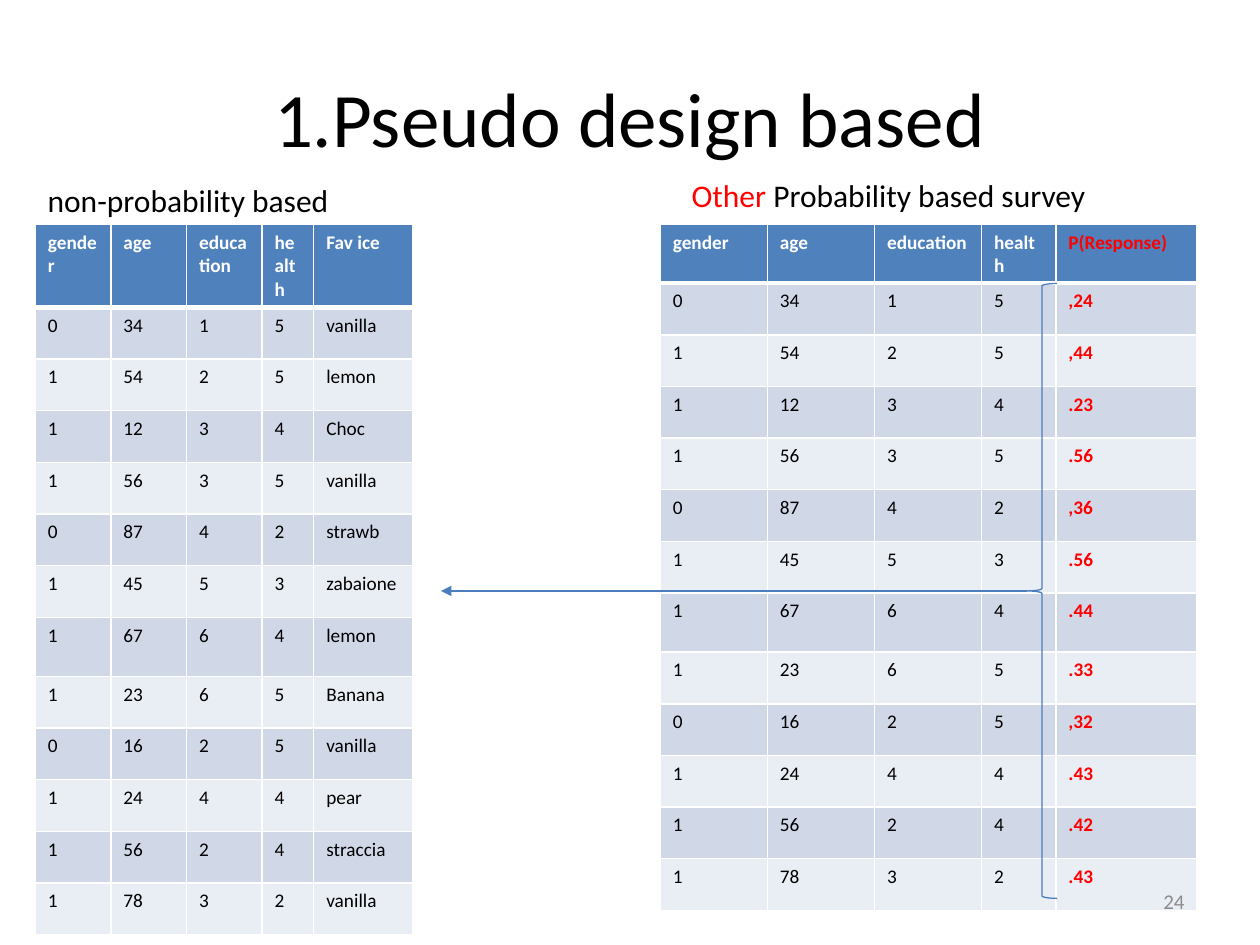
import pptx
import pptx.dml.color
import pptx.enum.shapes
import pptx.enum.text
import pptx.oxml
import pptx.oxml.ns
import pptx.util
from pptx.util import Inches

RGBColor = pptx.dml.color.RGBColor
WHITE = RGBColor(0xFF, 0xFF, 0xFF)
BLACK = RGBColor(0, 0, 0)
RED = RGBColor(0xFF, 0, 0)
GREY = RGBColor(0x8C, 0x8C, 0x8C)
HEADER_BLUE = RGBColor(0x4F, 0x81, 0xBD)
LINE_BLUE = RGBColor(0x4B, 0x7E, 0xBC)
BANDS = [RGBColor(0xD0, 0xD8, 0xE8), RGBColor(0xE9, 0xED, 0xF4)]

FONT = "Calibri"
ALIGN = pptx.enum.text.PP_ALIGN
ANCHOR = pptx.enum.text.MSO_ANCHOR
NS = pptx.oxml.ns.nsdecls("a")

COMMON_HEADER = ["gender", "age", "education", "health"]
RESPONDENTS = [
    (0, 34, 1, 5), (1, 54, 2, 5), (1, 12, 3, 4), (1, 56, 3, 5),
    (0, 87, 4, 2), (1, 45, 5, 3), (1, 67, 6, 4), (1, 23, 6, 5),
    (0, 16, 2, 5), (1, 24, 4, 4), (1, 56, 2, 4), (1, 78, 3, 2),
]
FLAVOURS = ["vanilla", "lemon", "Choc", "vanilla", "strawb", "zabaione",
            "lemon", "Banana", "vanilla", "pear", "straccia", "vanilla"]
RESPONSES = [",24", ",44", ".23", ".56", ",36", ".56",
             ".44", ".33", ",32", ".43", ".42", ".43"]
ROW_HEIGHT = 0.41
TALL_ROW = 7
TALL_HEIGHT = 0.47


def add_run(p, text, size, color, bold=False):
    r = p.add_run()
    r.text = text
    r.font.name = FONT
    r.font.size = pptx.util.Pt(size)
    r.font.bold = bold
    r.font.color.rgb = color


def add_text(slide, box, runs, size, align=ALIGN.LEFT, anchor=ANCHOR.TOP):
    tf = slide.shapes.add_textbox(*map(Inches, box)).text_frame
    tf.word_wrap = True
    tf.vertical_anchor = anchor
    p = tf.paragraphs[0]
    p.alignment = align
    for text, color in runs:
        add_run(p, text, size, color)


def add_borders(cell, row):
    top = 3 if row == 1 else 1
    bottom = 3 if row == 0 else 1
    tc_pr = cell._tc.get_or_add_tcPr()
    for side, width in (("L", 1), ("R", 1), ("T", top), ("B", bottom)):
        tc_pr.append(pptx.oxml.parse_xml(
            f'<a:ln{side} {NS} w="{pptx.util.Pt(width)}"><a:solidFill>'
            f'<a:srgbClr val="{WHITE}"/></a:solidFill></a:ln{side}>'))


def add_survey(slide, left, widths, header_height, last_header, last_values,
               highlight=False):
    rows = [COMMON_HEADER + [last_header]]
    rows += [[*person, value] for person, value in zip(RESPONDENTS, last_values)]
    heights = [header_height] + [ROW_HEIGHT] * len(RESPONDENTS)
    heights[TALL_ROW] = TALL_HEIGHT
    table = slide.shapes.add_table(
        len(rows), len(widths), Inches(left), Inches(1.78),
        Inches(sum(widths)), Inches(sum(heights))).table
    for column, width in zip(table.columns, widths):
        column.width = Inches(width)
    for i, values in enumerate(rows):
        table.rows[i].height = Inches(heights[i])
        for j, value in enumerate(values):
            cell = table.cell(i, j)
            add_borders(cell, i)
            cell.fill.solid()
            cell.fill.fore_color.rgb = BANDS[(i - 1) % 2] if i else HEADER_BLUE
            marked = highlight and j == len(widths) - 1
            color = RED if marked else BLACK if i else WHITE
            add_run(cell.text_frame.paragraphs[0], str(value), 11, color,
                    bold=marked or i == 0)


def style_line(line):
    line.color.rgb = LINE_BLUE
    line.width = pptx.util.Pt(0.75)


def add_arrow(slide, start, end):
    sp = slide.shapes.add_connector(
        pptx.enum.shapes.MSO_CONNECTOR.STRAIGHT, *map(Inches, start + end))
    style_line(sp.line)
    sp.line._get_or_add_ln().append(
        pptx.oxml.parse_xml(f'<a:tailEnd {NS} type="triangle"/>'))
    sp._element.spPr.append(pptx.oxml.parse_xml(f"<a:effectLst {NS}/>"))


def add_brace(slide, box):
    sp = slide.shapes.add_shape(
        pptx.enum.shapes.MSO_SHAPE.LEFT_BRACE, *map(Inches, box))
    sp.shadow.inherit = False
    sp.fill.background()
    style_line(sp.line)


def main():
    prs = pptx.Presentation()
    prs.slide_width = Inches(10)
    prs.slide_height = Inches(7.5)
    slide = prs.slides.add_slide(prs.slide_layouts[6])

    add_text(slide, (0.5, 0.3, 9, 1.25), [("1.Pseudo design based", BLACK)],
             44, ALIGN.CENTER, ANCHOR.MIDDLE)
    add_survey(slide, 0.28, [0.6, 0.6, 0.6, 0.41, 0.79], 0.66,
               "Fav ice", FLAVOURS)
    add_text(slide, (0.28, 1.39, 3.07, 0.4), [("non-probability based", BLACK)], 18)
    add_survey(slide, 5.24, [0.85, 0.85, 0.85, 0.59, 1.12], 0.46,
               "P(Response)", RESPONSES, highlight=True)
    add_text(slide, (5.39, 1.35, 4.49, 0.4),
             [("Other ", RED), ("Probability based survey", BLACK)], 18)
    add_arrow(slide, (8.15, 4.69), (3.5, 4.69))
    add_brace(slide, (8.15, 2.25, 0.24, 4.88))
    add_text(slide, (7.17, 6.95, 2.33, 0.4), [("24", GREY)],
             12, ALIGN.RIGHT, ANCHOR.MIDDLE)
    prs.save("out.pptx")


if __name__ == "__main__":
    main()
